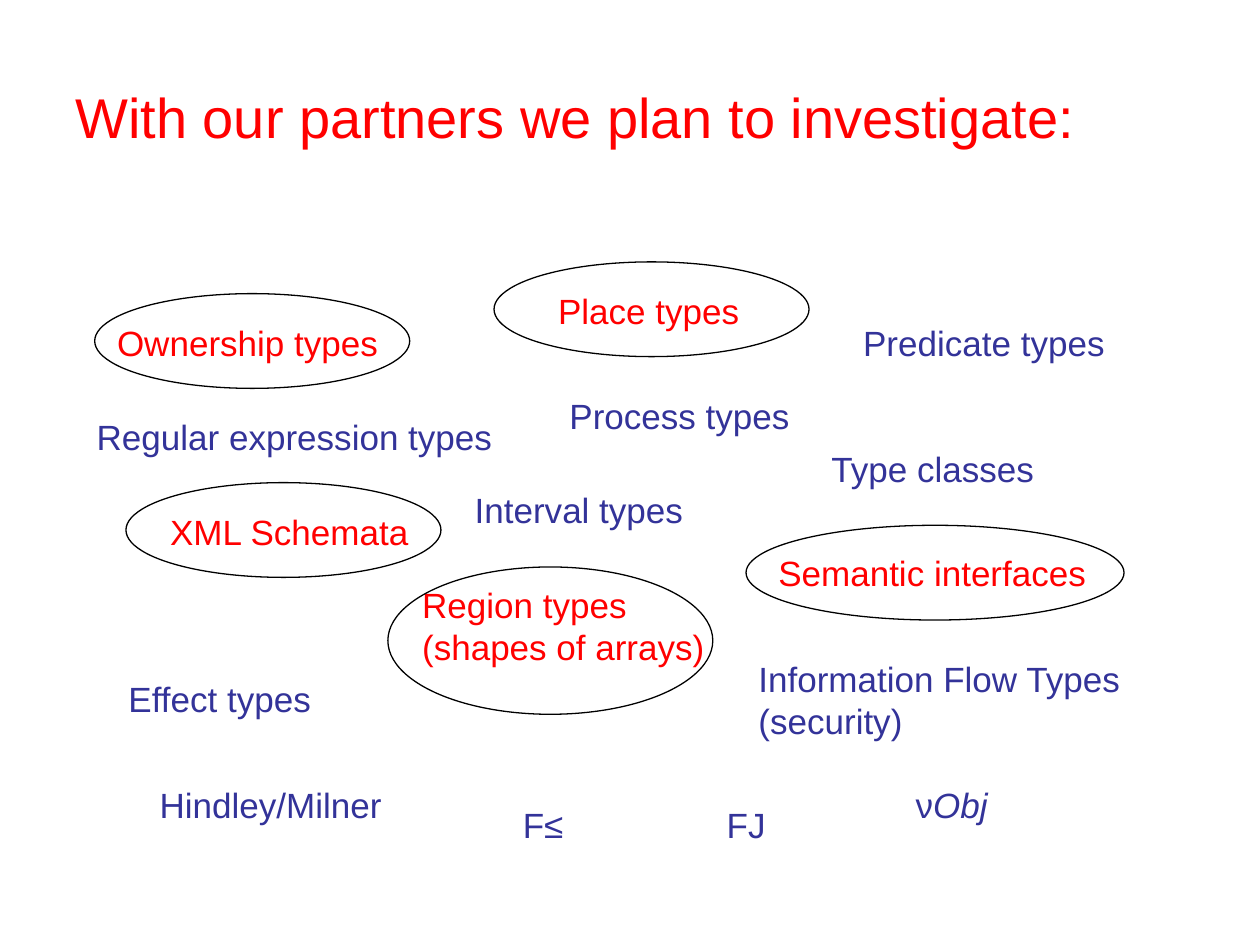
import pptx
import pptx.dml.color
import pptx.enum.shapes
import pptx.enum.text
import pptx.util

Cm = pptx.util.Cm
Pt = pptx.util.Pt

THEME = {
    "font": "Arial",
    "highlight": "FF0000",
    "plain": "333399",
    "outline": "000000",
    "title_size": 32,
    "label_size": 20,
    "outline_width": 0.75,
}

TITLE = "With our partners we plan to investigate:"
LABEL_WIDTH, LABEL_HEIGHT, TWO_LINE_HEIGHT = 6.78, 1.12, 1.96

# Text, left, top and, where it differs from LABEL_WIDTH, width (cm).
HIGHLIGHTED_TOPICS = [
    ("Ownership types", 2.11, 6.35),
    ("Region types (shapes of arrays)", 8.26, 11.63),
    ("Place types", 11, 5.72),
    ("XML Schemata", 3.18, 10.16),
    ("Semantic interfaces", 15.44, 11),
]
PLAIN_TOPICS = [
    ("Regular expression types", 1.7, 8.26, 9.32),
    ("Predicate types", 17.15, 6.35),
    ("Information Flow Types\v(security)", 15.04, 13.13, 8.05),
    ("Effect types", 2.34, 13.54),
    ("Process types", 11.23, 7.82),
    ("Type classes", 16.51, 8.89),
    ("Interval types", 9.32, 9.73),
]
CALCULI = [
    ("F≤", 10.29, 16.08, 1.5),
    ("Hindley/Milner", 2.97, 15.67, 4.98),
    ("FJ", 14.4, 16.08, 1.3),
]
# Left, top, width, height (cm).
ELLIPSES = [
    (1.91, 5.92, 6.35, 1.91),
    (2.54, 9.73, 6.35, 1.91),
    (7.82, 11.43, 6.55, 2.97),
    (15.04, 10.59, 7.62, 1.91),
    (9.96, 5.28, 6.35, 1.91),
]


def add_text(slide, text, left, top, width=LABEL_WIDTH, *, height=LABEL_HEIGHT,
             color="plain", size="label_size", wrap=True, grow=True,
             anchor=pptx.enum.text.MSO_ANCHOR.TOP, italic_tail=""):
    """Add a text box; italic_tail follows the text in italics."""
    box = slide.shapes.add_textbox(Cm(left), Cm(top), Cm(width), Cm(height))
    frame = box.text_frame
    frame.word_wrap = wrap
    frame.vertical_anchor = anchor
    if grow:
        frame.auto_size = pptx.enum.text.MSO_AUTO_SIZE.SHAPE_TO_FIT_TEXT
    paragraph = frame.paragraphs[0]
    paragraph.text = text
    if italic_tail:
        paragraph.add_run().text = italic_tail
        paragraph.runs[-1].font.italic = True
    for run in paragraph.runs:
        run.font.name = THEME["font"]
        run.font.size = Pt(THEME[size])
        run.font.color.rgb = pptx.dml.color.RGBColor.from_string(THEME[color])


def add_ellipse(slide, left, top, width, height):
    shape = slide.shapes.add_shape(
        pptx.enum.shapes.MSO_SHAPE.OVAL, Cm(left), Cm(top), Cm(width), Cm(height))
    shape.shadow.inherit = False
    shape.fill.background()
    shape.line.color.rgb = pptx.dml.color.RGBColor.from_string(THEME["outline"])
    shape.line.width = Pt(THEME["outline_width"])


def main():
    presentation = pptx.Presentation()
    presentation.slide_width, presentation.slide_height = Cm(25.4), Cm(19.05)
    slide = presentation.slides.add_slide(presentation.slide_layouts[6])

    add_text(slide, TITLE, 1.27, 0.76, 22.86, height=3.18, color="highlight",
             size="title_size", grow=False, anchor=pptx.enum.text.MSO_ANCHOR.MIDDLE)
    for color, topics in (("highlight", HIGHLIGHTED_TOPICS), ("plain", PLAIN_TOPICS)):
        for text, *place in topics:
            height = TWO_LINE_HEIGHT if "(" in text else LABEL_HEIGHT
            add_text(slide, text, *place, height=height, color=color)
    for calculus in CALCULI:
        add_text(slide, *calculus, wrap=False)
    add_text(slide, "ν", 18.21, 15.67, 3.38, italic_tail="Obj")
    for ellipse in ELLIPSES:
        add_ellipse(slide, *ellipse)

    presentation.save("out.pptx")


if __name__ == "__main__":
    main()
